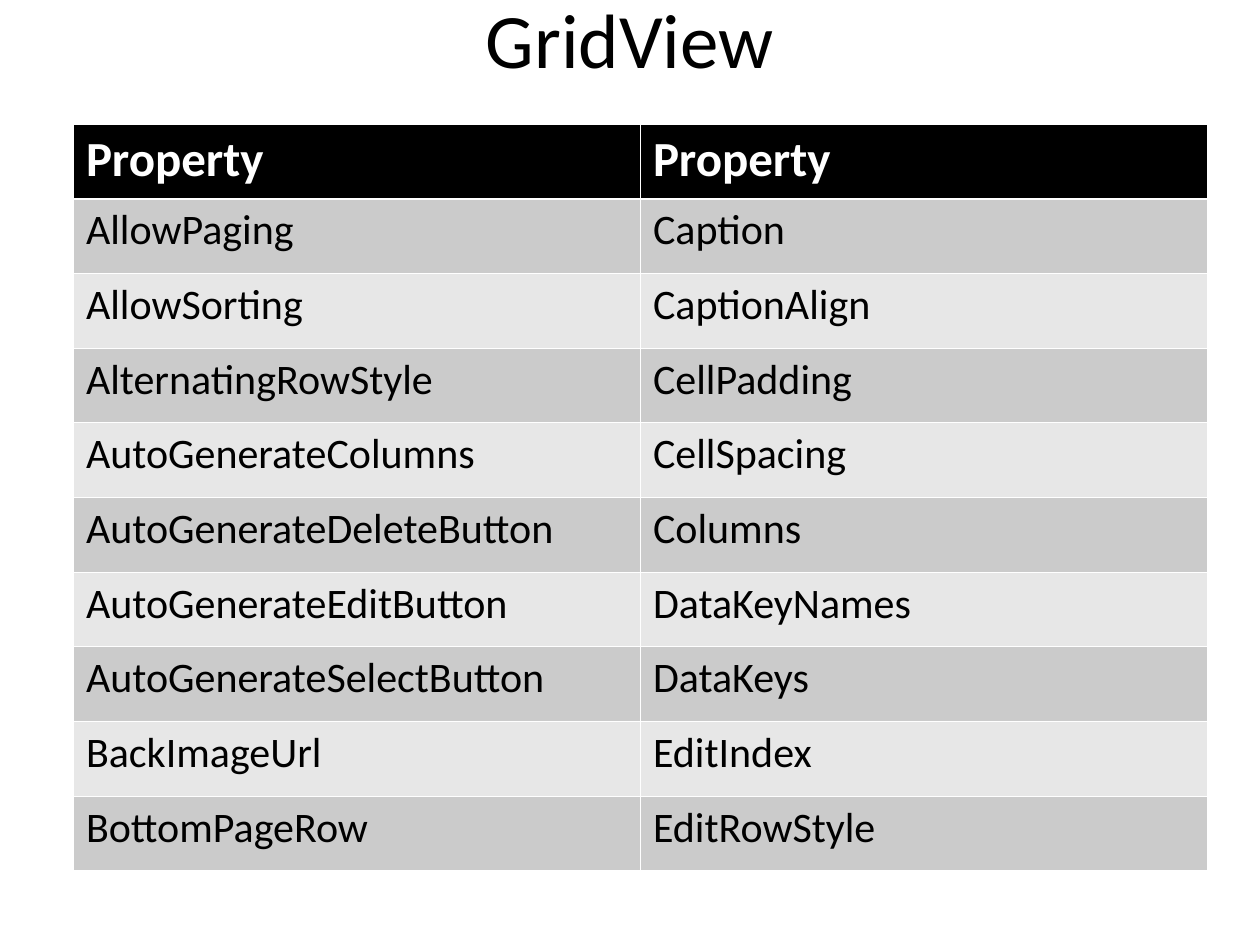
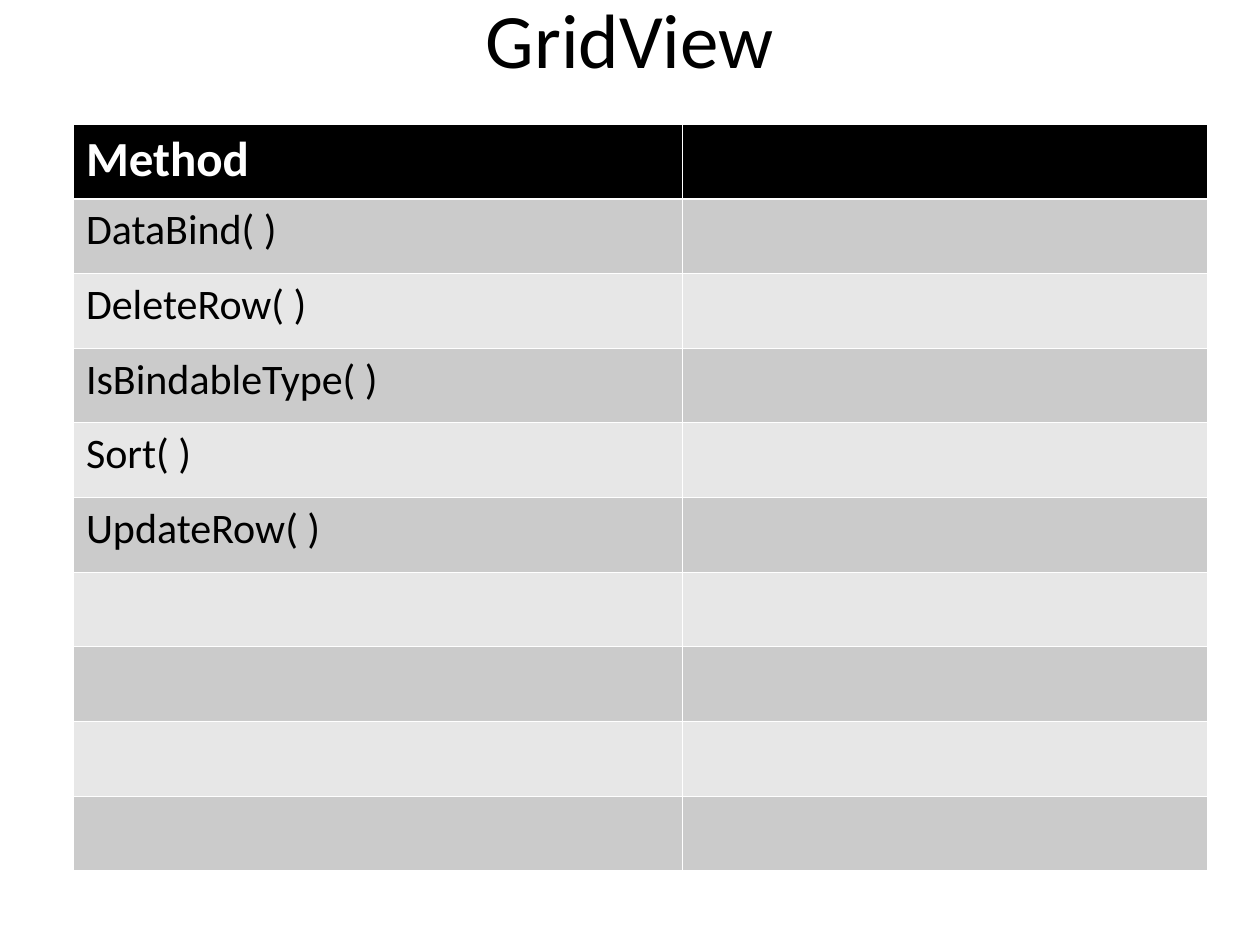
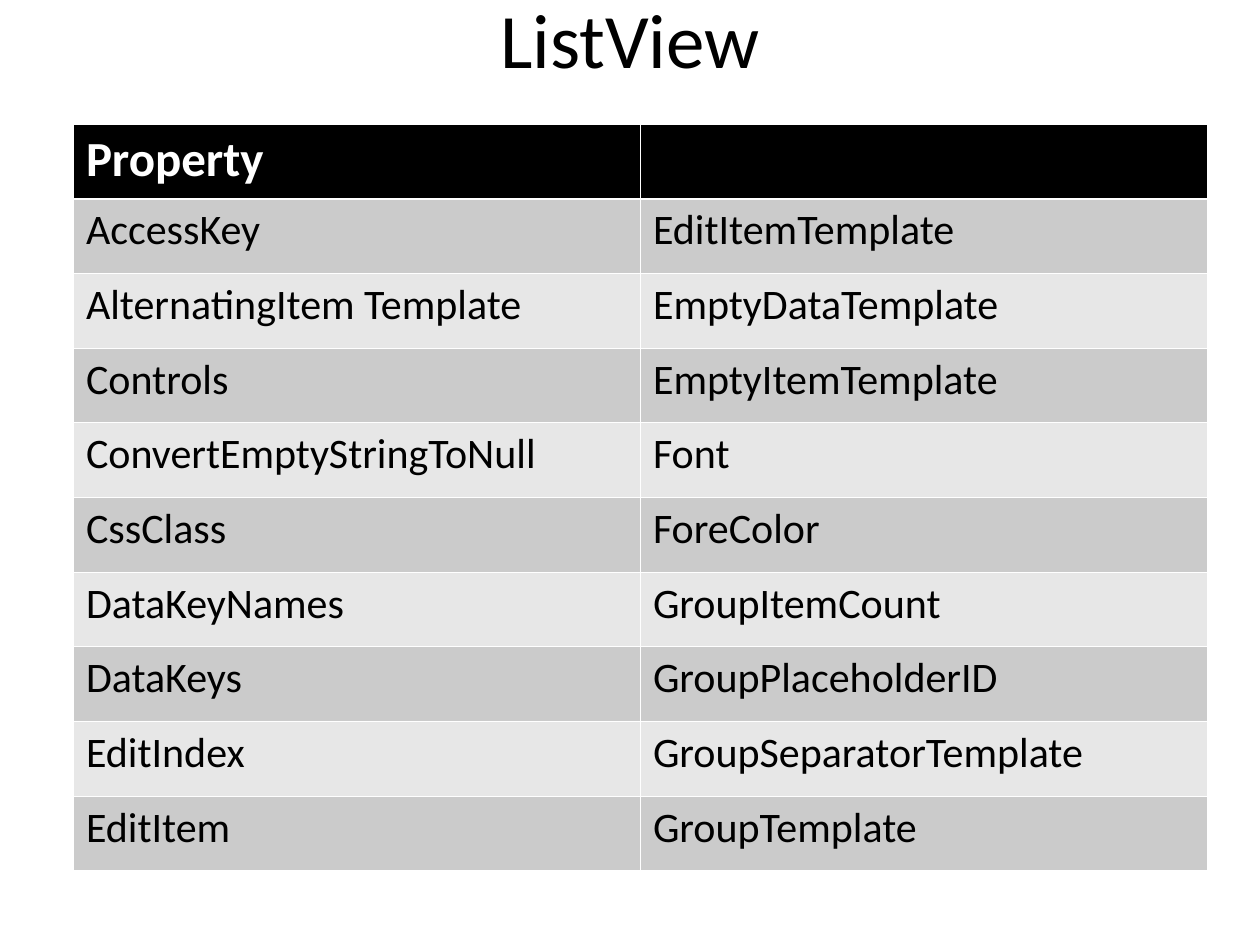
"""Build three slides that list the members of the GridView and ListView controls."""
from lxml import etree
from pptx import Presentation
from pptx.dml.color import RGBColor
from pptx.enum.text import MSO_ANCHOR, PP_ALIGN
from pptx.oxml.ns import qn
from pptx.util import Cm, Pt

LEFT, CENTER = PP_ALIGN.LEFT, PP_ALIGN.CENTER
TOP, MIDDLE = MSO_ANCHOR.TOP, MSO_ANCHOR.MIDDLE
FONT = "Calibri"
COLORS = {
    "text": "000000",
    "header": "000000",
    "header_text": "FFFFFF",
    "odd_row": "CBCBCB",
    "even_row": "E7E7E7",
    "rule": "FFFFFF",
}
TITLE_BOX = (1.27, -0.84, 22.86, 3.18)
TABLE_BOX = (1.48, 2.5, 22.86, 15.05)
ROW_COUNT = 10
THIN_RULE, HEADER_RULE = 0.45, 1.47
TITLE_ONLY = 5

PAGES = [
    {
        "title": "GridView",
        "shares": (0.5, 0.5),
        "columns": [
            ["Property", "AllowPaging", "AllowSorting", "AlternatingRowStyle",
             "AutoGenerateColumns", "AutoGenerateDeleteButton",
             "AutoGenerateEditButton", "AutoGenerateSelectButton",
             "BackImageUrl", "BottomPageRow"],
            ["Property", "Caption", "CaptionAlign", "CellPadding",
             "CellSpacing", "Columns", "DataKeyNames", "DataKeys",
             "EditIndex", "EditRowStyle"],
        ],
    },
    {
        "title": "GridView",
        "shares": (0.537, 0.463),
        "columns": [
            ["Method", "DataBind( )", "DeleteRow( )", "IsBindableType( )",
             "Sort( )", "UpdateRow( )"],
            [],
        ],
    },
    {
        "title": "ListView",
        "shares": (0.5, 0.5),
        "columns": [
            ["Property", "AccessKey", "AlternatingItem Template", "Controls",
             "ConvertEmptyStringToNull", "CssClass", "DataKeyNames",
             "DataKeys", "EditIndex", "EditItem"],
            ["", "EditItemTemplate", "EmptyDataTemplate", "EmptyItemTemplate",
             "Font", "ForeColor", "GroupItemCount", "GroupPlaceholderID",
             "GroupSeparatorTemplate", "GroupTemplate"],
        ],
    },
]


def write_text(frame, text, size, color="text", bold=False, align=LEFT):
    """Write one formatted paragraph into a text frame."""
    para = frame.paragraphs[0]
    para.alignment = align
    span = para.add_run()
    span.text = text
    span.font.name = FONT
    span.font.size = Pt(size)
    span.font.bold = bold
    span.font.color.rgb = RGBColor.from_string(COLORS[color])


def add_borders(cell, top, bottom):
    """Draw the four rules of a cell, with widths in points."""
    properties = cell._tc.get_or_add_tcPr()
    widths = {"lnL": THIN_RULE, "lnR": THIN_RULE, "lnT": top, "lnB": bottom}
    for side, width in widths.items():
        line = etree.SubElement(properties, qn(f"a:{side}"), w=str(Pt(width)))
        fill = etree.SubElement(line, qn("a:solidFill"))
        etree.SubElement(fill, qn("a:srgbClr"), val=COLORS["rule"])


def format_cell(cell, row):
    """Give a cell the rules and the fill of its row."""
    add_borders(cell,
                top=HEADER_RULE if row == 1 else THIN_RULE,
                bottom=HEADER_RULE if row == 0 else THIN_RULE)
    band = "header" if row == 0 else ("even_row", "odd_row")[row % 2]
    cell.fill.solid()
    cell.fill.fore_color.rgb = RGBColor.from_string(COLORS[band])
    cell.vertical_anchor = TOP


def place_title(page, text, box):
    """Place the title placeholder in the given box."""
    title = page.shapes.title
    title.left, title.top, title.width, title.height = map(Cm, box)
    title.text_frame.vertical_anchor = MIDDLE
    write_text(title.text_frame, text, size=44, align=CENTER)


def place_table(page, columns, shares, box):
    """Place a table of member names that fills the given box."""
    left, top, width, height = box
    table = page.shapes.add_table(ROW_COUNT, len(columns), *map(Cm, box)).table
    for row in table.rows:
        row.height = Cm(height / ROW_COUNT)
    for column, (names, share) in enumerate(zip(columns, shares)):
        table.columns[column].width = Cm(width * share)
        for row in range(ROW_COUNT):
            cell = table.cell(row, column)
            format_cell(cell, row)
            if row < len(names) and names[row]:
                style = ({"size": 28, "color": "header_text", "bold": True}
                         if row == 0 else {"size": 24})
                write_text(cell.text_frame, names[row], **style)


def main():
    """Build and save the deck."""
    deck = Presentation()
    deck.slide_width, deck.slide_height = Cm(25.4), Cm(19.05)
    for content in PAGES:
        page = deck.slides.add_slide(deck.slide_layouts[TITLE_ONLY])
        place_title(page, content["title"], TITLE_BOX)
        place_table(page, content["columns"], content["shares"], TABLE_BOX)
    deck.save("out.pptx")


if __name__ == "__main__":
    main()
